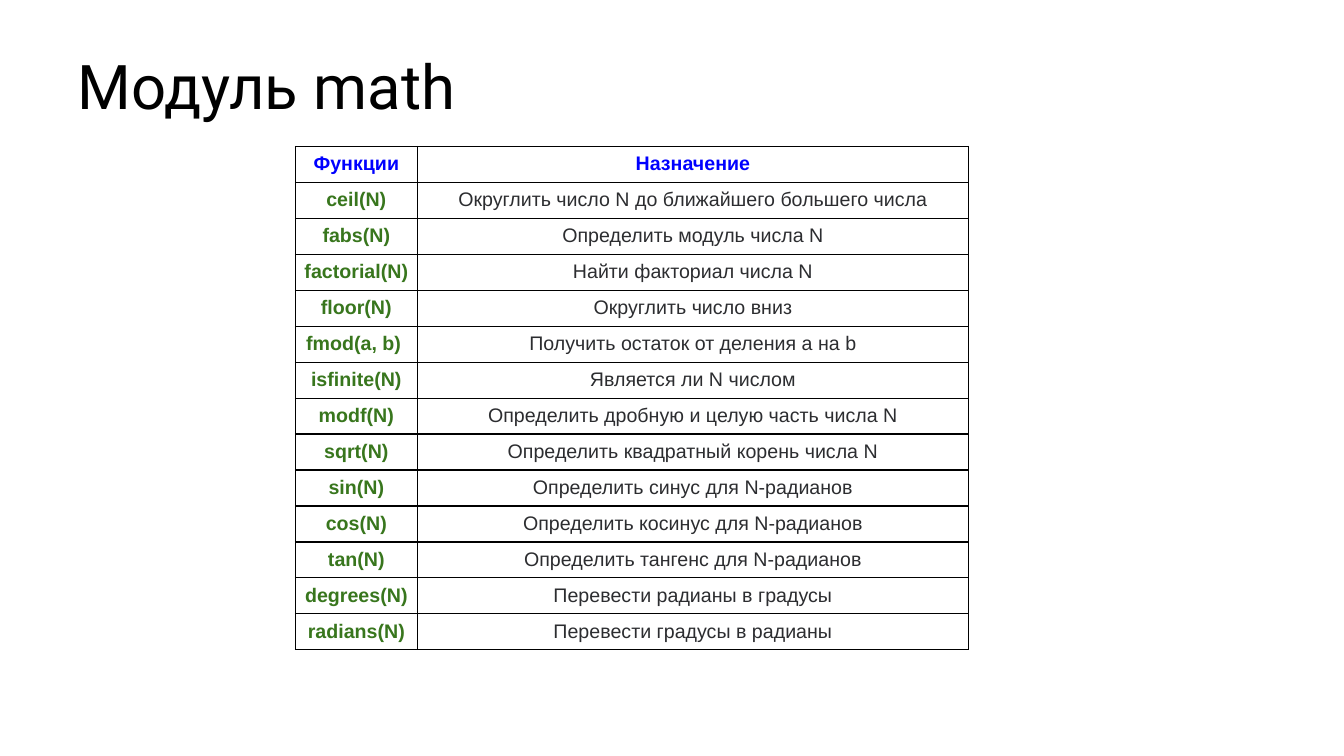
"""Build the slide listing the functions of the math module."""
from lxml.etree import SubElement
from pptx import Presentation
from pptx.dml.color import RGBColor
from pptx.enum.text import MSO_ANCHOR, MSO_AUTO_SIZE, PP_ALIGN
from pptx.oxml.ns import qn
from pptx.util import Pt

COLORS = {
    "title": "000000",
    "border": "000000",
    "header": "0000FF",
    "function": "38761D",
    "purpose": "2C2D30",
}
ROWS = [
    ("Функции", "Назначение"),
    ("ceil(N)", "Округлить число N до ближайшего большего числа"),
    ("fabs(N)", "Определить модуль числа N"),
    ("factorial(N)", "Найти факториал числа N"),
    ("floor(N)", "Округлить число вниз"),
    ("fmod(a, b) ", "Получить остаток от деления a на b"),
    ("isfinite(N)", "Является ли N числом"),
    ("modf(N)", "Определить дробную и целую часть числа N"),
    ("sqrt(N)", "Определить квадратный корень числа N"),
    ("sin(N)", "Определить синус для N-радианов"),
    ("cos(N)", "Определить косинус для N-радианов"),
    ("tan(N)", "Определить тангенс для N-радианов"),
    ("degrees(N)", "Перевести радианы в градусы"),
    ("radians(N)", "Перевести градусы в радианы"),
]
COLUMN_WIDTHS = (87.1, 393.8)
ROW_HEIGHT = 25.7
CELL_MARGIN = Pt(4.8)


def add_text(para, text, font, size, color, bold=False):
    span = para.add_run()
    span.text = text
    span.font.name = font
    span.font.size = Pt(size)
    span.font.bold = bold
    span.font.color.rgb = RGBColor.from_string(COLORS[color])


def add_borders(cell):
    properties = cell._tc.get_or_add_tcPr()
    for side in ("a:lnL", "a:lnR", "a:lnT", "a:lnB"):
        line = SubElement(properties, qn(side), w=str(Pt(1)))
        fill = SubElement(line, qn("a:solidFill"))
        SubElement(fill, qn("a:srgbClr"), val=COLORS["border"])


deck = Presentation()
deck.slide_width, deck.slide_height = Pt(960), Pt(540)
page = deck.slides.add_slide(deck.slide_layouts[5])

title = page.shapes.title
title.left, title.top, title.width, title.height = Pt(48.2), Pt(29.5), Pt(851), Pt(62)
title.text_frame.auto_size = MSO_AUTO_SIZE.NONE
title.text_frame.vertical_anchor = MSO_ANCHOR.BOTTOM
title_para = title.text_frame.paragraphs[0]
title_para.alignment = PP_ALIGN.LEFT
title_para.line_spacing = 0.9
add_text(title_para, "Модуль math", "Roboto", 44, "title")

table = page.shapes.add_table(
    len(ROWS), len(COLUMN_WIDTHS), Pt(211), Pt(104.6),
    Pt(sum(COLUMN_WIDTHS)), Pt(ROW_HEIGHT * len(ROWS)),
).table
table.first_row = False
table.horz_banding = False
for column, width in zip(table.columns, COLUMN_WIDTHS):
    column.width = Pt(width)

for row_index, texts in enumerate(ROWS):
    table.rows[row_index].height = Pt(ROW_HEIGHT)
    for column_index, text in enumerate(texts):
        cell = table.cell(row_index, column_index)
        cell.margin_left = cell.margin_right = CELL_MARGIN
        cell.margin_top = cell.margin_bottom = CELL_MARGIN
        add_borders(cell)
        cell.fill.background()
        color = "header" if row_index == 0 else ("function", "purpose")[column_index]
        para = cell.text_frame.paragraphs[0]
        para.alignment = PP_ALIGN.CENTER
        add_text(para, text, "Arial", 14, color, bold=color != "purpose")

deck.save("out.pptx")
